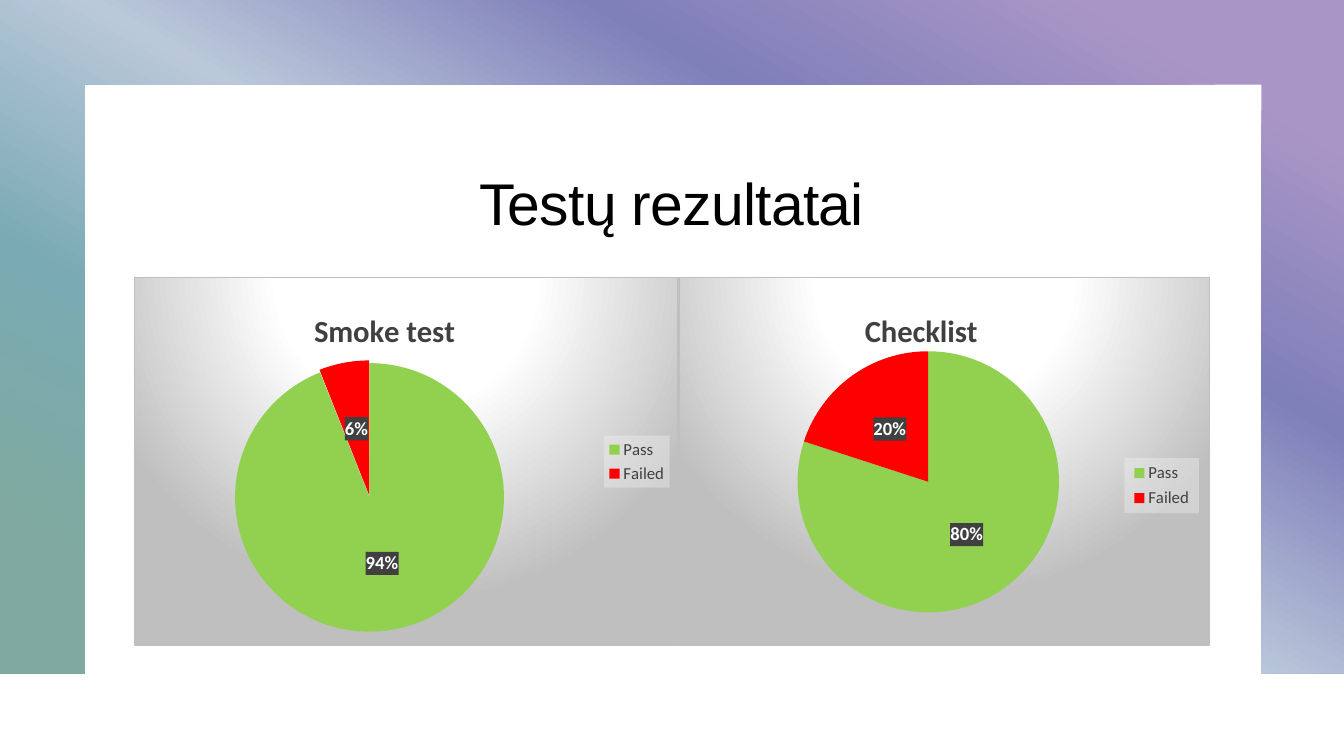
import pptx
import pptx.chart.data
import pptx.dml.color
import pptx.enum.chart
import pptx.enum.text
import pptx.oxml
import pptx.oxml.ns
import pptx.util

Inches = pptx.util.Inches
Pt = pptx.util.Pt
RGB = pptx.dml.color.RGBColor
qn = pptx.oxml.ns.qn

BLACK = RGB(0x00, 0x00, 0x00)
WHITE = RGB(0xFF, 0xFF, 0xFF)
DARK = RGB(0x40, 0x40, 0x40)
PALE = RGB(0xF2, 0xF2, 0xF2)
GREY = RGB(0xBF, 0xBF, 0xBF)
GREEN = RGB(0x92, 0xD0, 0x50)
RED = RGB(0xFF, 0x00, 0x00)
FRAME = [
    (10, RGB(0xAA, 0x96, 0xC6)), (30, RGB(0x7F, 0x7F, 0xBA)),
    (50, RGB(0xBA, 0xC8, 0xDA)), (70, RGB(0x7A, 0xAA, 0xB3)),
    (90, RGB(0x80, 0xAA, 0x9F)),
]
GLOW = [(0, WHITE), (39, WHITE), (100, GREY)]
NS = pptx.oxml.ns.nsdecls("a", "c")


def blend(stops, kind):
    marks = "".join(
        f'<a:gs pos="{pos * 1000}"><a:srgbClr val="{tint}"/></a:gs>'
        for pos, tint in stops)
    return f'<a:gradFill {NS}><a:gsLst>{marks}</a:gsLst>{kind}</a:gradFill>'


def sheer(tint, part):
    return (f'<a:solidFill><a:srgbClr val="{tint}">'
            f'<a:alpha val="{part * 1000}"/></a:srgbClr></a:solidFill>')


def paint(node, fill, line="<a:ln><a:noFill/></a:ln>"):
    props = pptx.oxml.parse_xml(f'<c:spPr {NS}>{fill}{line}</c:spPr>')
    node.find(qn("c:txPr")).addprevious(props)


def place(node, after, inner=False, **box):
    old = node.find(qn("c:layout"))
    if old is not None:
        node.remove(old)
    rows = '<c:layoutTarget val="inner"/>' if inner else ""
    rows += '<c:xMode val="edge"/><c:yMode val="edge"/>'
    rows += "".join(f'<c:{key} val="{val}"/>' for key, val in box.items())
    layout = pptx.oxml.parse_xml(
        f'<c:layout {NS}><c:manualLayout>{rows}</c:manualLayout></c:layout>')
    if after is None:
        node.insert(0, layout)
    else:
        node.find(qn(after)).addnext(layout)


class Deck:
    face = "Calibri"

    def __init__(self):
        self.show = pptx.Presentation()
        self.show.slide_width = Inches(13.33)
        self.show.slide_height = Inches(7.5)
        self.slide = self.show.slides.add_slide(self.show.slide_layouts[5])

    def style(self, font, size, tint, bold=False):
        font.name = self.face
        font.size = Pt(size)
        font.bold = bold
        font.color.rgb = tint

    def frame(self, points):
        (x, y), *rest = [(Inches(x), Inches(y)) for x, y in points]
        pen = self.slide.shapes.build_freeform(x, y)
        pen.add_line_segments(rest, close=True)
        shape = pen.convert_to_shape()
        shape.shadow.inherit = False
        shape.line.fill.background()
        props = shape.element.spPr
        fill = blend(FRAME, '<a:lin ang="7200000" scaled="0"/>')
        props.find(qn("a:custGeom")).addnext(pptx.oxml.parse_xml(fill))
        shape.element.getparent().insert(2, shape.element)

    def title(self, text, left, top, width, height):
        shape = self.slide.shapes.title
        shape.left, shape.top = Inches(left), Inches(top)
        shape.width, shape.height = Inches(width), Inches(height)
        frame = shape.text_frame
        frame.text = text
        frame.word_wrap = True
        frame.vertical_anchor = pptx.enum.text.MSO_ANCHOR.TOP
        line = frame.paragraphs[0]
        line.alignment = pptx.enum.text.PP_ALIGN.CENTER
        line.line_spacing = 0.95
        font = line.runs[0].font
        font.name, font.size = "Arial", Pt(42)
        font.color.rgb = BLACK
        font._element.set("spc", "-50")

    def pie(self, name, left, width, values, head):
        data = pptx.chart.data.CategoryChartData()
        data.categories = ["Pass", "Failed"]
        data.add_series(name, values)
        chart = self.slide.shapes.add_chart(
            pptx.enum.chart.XL_CHART_TYPE.PIE, Inches(left), Inches(2.75),
            Inches(width), Inches(3.66), data).chart
        self.style(chart.font, 10, BLACK)
        kind = ('<a:path path="circle"><a:fillToRect l="50000" t="-80000" '
                'r="50000" b="180000"/></a:path>')
        edge = (f'<a:ln w="9525"><a:solidFill><a:srgbClr val="{GREY}"/>'
                '</a:solidFill></a:ln>')
        paint(chart._chartSpace, blend(GLOW, kind), edge)

        chart.has_title = True
        chart.chart_title.text_frame.text = name
        run = chart.chart_title.text_frame.paragraphs[0].runs[0]
        self.style(run.font, 22, DARK, True)
        place(chart.chart_title._element, "c:tx", x=head, y=0.07)

        chart.has_legend = True
        legend = chart.legend
        legend.position = pptx.enum.chart.XL_LEGEND_POSITION.RIGHT
        legend.include_in_layout = False
        self.style(legend.font, 12, DARK)
        paint(legend._element, sheer(PALE, 39))

        plot = chart.plots[0]
        plot.vary_by_categories = True
        series = plot.series[0]
        for spot, tint in enumerate((GREEN, RED)):
            fill = series.points[spot].format.fill
            fill.solid()
            fill.fore_color.rgb = tint
        labels = series.data_labels
        labels.show_percentage = True
        labels.show_value = False
        labels.position = pptx.enum.chart.XL_LABEL_POSITION.CENTER
        self.style(labels.font, 13.3, WHITE, True)
        paint(labels._element, sheer(DARK, 90))
        return chart


def main():
    deck = Deck()
    deck.frame([(0, 0), (13.33, 0), (13.33, 6.68), (12.51, 6.68),
                (12.51, 0.84), (0.84, 0.84), (0.84, 6.68), (0, 6.68)])
    deck.title("Testų rezultatai", 1.66, 1.66, 10, 1.47)
    smoke = deck.pie("Smoke test", 1.33, 5.4, (94, 6), 0.32)
    burst = pptx.oxml.parse_xml(f'<c:explosion {NS} val="1"/>')
    smoke.plots[0].series[0]._element.find(qn("c:dPt")).addprevious(burst)
    check = deck.pie("Checklist", 6.73, 5.27, (80, 20), 0.34)
    area = check._chartSpace.find(qn("c:chart")).find(qn("c:plotArea"))
    place(area, None, True, x=0.05, y=0.2, w=0.84, h=0.71)
    place(check.legend._element, "c:legendPos", x=0.84, y=0.49, w=0.14, h=0.15)
    deck.show.save("out.pptx")


if __name__ == "__main__":
    main()
